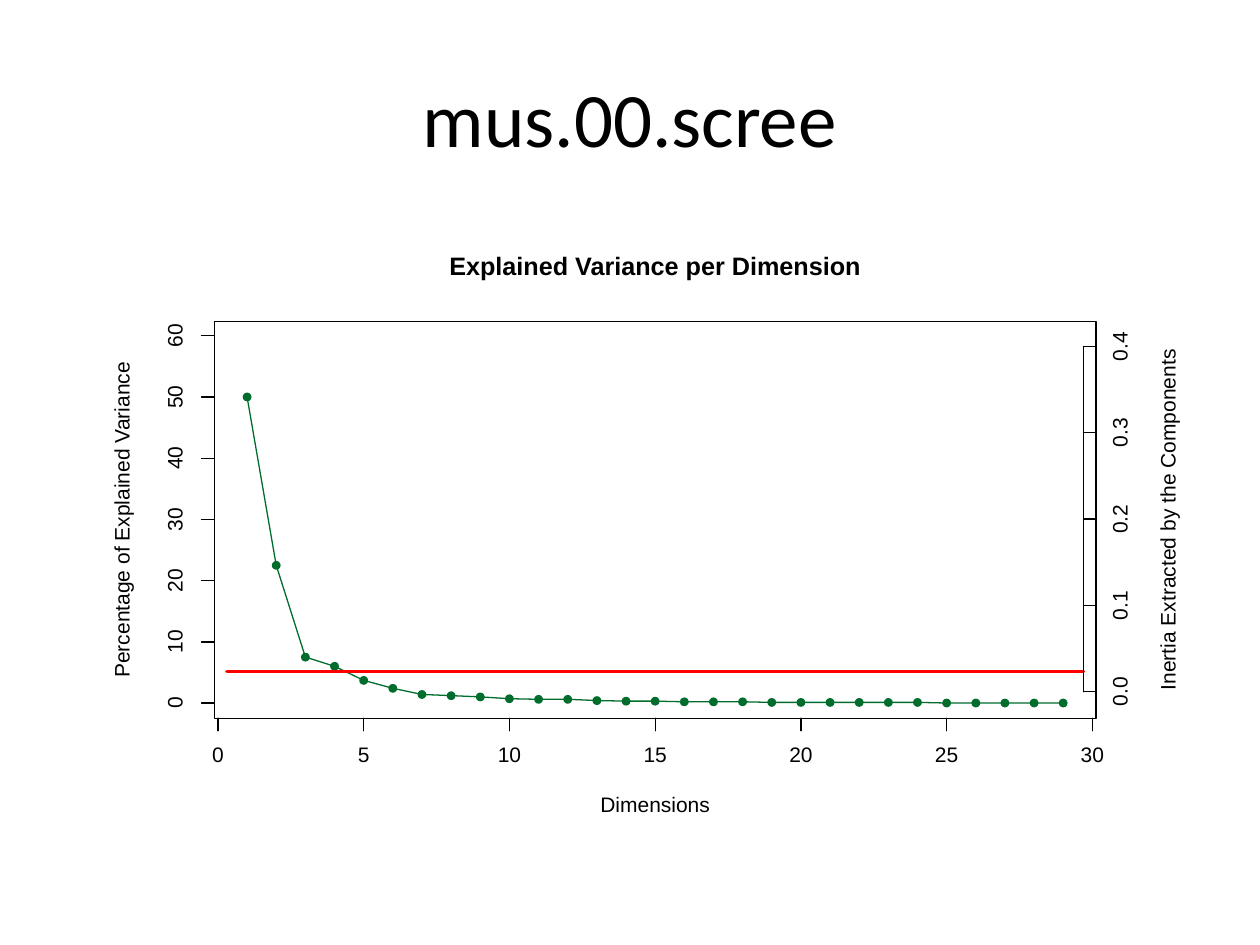
from dataclasses import dataclass

from pptx import Presentation
from pptx.dml.color import RGBColor
from pptx.enum import shapes, text
from pptx.oxml import xmlchemy
from pptx.util import Inches, Pt


@dataclass(frozen=True)
class Theme:
    ink: RGBColor = RGBColor(0x00, 0x00, 0x00)
    paper: RGBColor = RGBColor(0xFF, 0xFF, 0xFF)
    series: RGBColor = RGBColor(0x00, 0x6D, 0x2C)
    threshold: RGBColor = RGBColor(0xFF, 0x00, 0x00)
    title_font: str = "Calibri"
    plot_font: str = "Arial"
    title_size: float = 44
    heading_size: float = 14.4
    label_size: float = 12
    thin: float = 0.75
    thick: float = 1.87


theme = Theme()

LEFT, TOP, RIGHT, BOTTOM = 1.7, 2.55, 8.7, 5.7
MIDDLE_X, MIDDLE_Y = (LEFT + RIGHT) / 2, (TOP + BOTTOM) / 2
TICK = 0.1
DOT = 0.07
DIGIT = 0.11
ORIGIN_X, DIMENSION_STEP = 1.73, 6.94 / 30
ORIGIN_Y, PERCENT_STEP = 5.58, 2.915 / 60
INERTIA_X, INERTIA_Y, INERTIA_STEP = 8.6, 5.49, 6.85
THRESHOLD_Y = 5.33
variances = [50, 22.5, 7.5, 6, 3.7, 2.4, 1.4, 1.2, 1, 0.7, 0.6, 0.6, 0.4, 0.3, 0.3,
             0.2, 0.2, 0.2, 0.1, 0.1, 0.1, 0.1, 0.1, 0.1, 0, 0, 0, 0, 0]

presentation = Presentation()
presentation.slide_width, presentation.slide_height = Inches(10), Inches(7.5)
slide = presentation.slides.add_slide(presentation.slide_layouts[5])

title = slide.shapes.title
title.left, title.top, title.width, title.height = map(Inches, (0.5, 0.3, 9, 1.25))
title.text_frame.text = "mus.00.scree"
title.text_frame.vertical_anchor = text.MSO_ANCHOR.MIDDLE
paragraph = title.text_frame.paragraphs[0]
paragraph.alignment = text.PP_ALIGN.CENTER
paragraph.font.name = theme.title_font
paragraph.font.size = Pt(theme.title_size)
paragraph.font.color.rgb = theme.ink

plot = slide.shapes.add_group_shape().shapes


def draw_line(start_x, start_y, end_x, end_y, color=theme.ink, weight=theme.thin):
    line = plot.add_connector(shapes.MSO_CONNECTOR.STRAIGHT,
                              *map(Inches, (start_x, start_y, end_x, end_y)))
    line.line.color.rgb = color
    line.line.width = Pt(weight)
    line.line._get_or_add_ln().set("cap", "rnd")
    line._element.spPr.append(xmlchemy.OxmlElement("a:effectLst"))


def write_label(wording, center_x, center_y, width, height=0.12, rotation=0,
                size=theme.label_size, bold=False):
    label = plot.add_textbox(Inches(center_x - width / 2), Inches(center_y - height / 2),
                             Inches(width), Inches(height))
    label.rotation = rotation
    frame = label.text_frame
    frame.margin_left = frame.margin_right = frame.margin_top = frame.margin_bottom = 0
    frame.word_wrap = False
    frame.vertical_anchor = text.MSO_ANCHOR.MIDDLE
    frame.text = wording
    paragraph = frame.paragraphs[0]
    paragraph.alignment = text.PP_ALIGN.CENTER
    paragraph.line_spacing = Pt(size)
    paragraph.font.name = theme.plot_font
    paragraph.font.size = Pt(size)
    paragraph.font.bold = bold
    paragraph.font.color.rgb = theme.ink


background = plot.add_shape(shapes.MSO_SHAPE.RECTANGLE, *map(Inches, (0.5, 1.75, 9, 4.95)))
background.shadow.inherit = False
background.fill.solid()
background.fill.fore_color.rgb = theme.paper
background.line.color.rgb = theme.paper
background.line.width = Pt(theme.thin)

points = [(Inches(ORIGIN_X + dimension * DIMENSION_STEP),
           Inches(ORIGIN_Y - variance * PERCENT_STEP))
          for dimension, variance in enumerate(variances, start=1)]
builder = plot.build_freeform(*points[0])
builder.add_line_segments(points[1:], close=False)
curve = builder.convert_to_shape()
curve.shadow.inherit = False
curve.fill.background()
curve.line.color.rgb = theme.series
curve.line.width = Pt(theme.thin)

draw_line(ORIGIN_X, BOTTOM, ORIGIN_X + 30 * DIMENSION_STEP, BOTTOM)
for dimension in range(0, 31, 5):
    x = ORIGIN_X + dimension * DIMENSION_STEP
    draw_line(x, BOTTOM, x, BOTTOM + TICK)
    write_label(str(dimension), x, 6, DIGIT * len(str(dimension)))

draw_line(LEFT, ORIGIN_Y, LEFT, ORIGIN_Y - 60 * PERCENT_STEP)
for percent in range(0, 61, 10):
    y = ORIGIN_Y - percent * PERCENT_STEP
    draw_line(LEFT, y, LEFT - TICK, y)
    write_label(str(percent), 1.4, y, DIGIT * len(str(percent)), rotation=270)

frame_box = plot.add_shape(shapes.MSO_SHAPE.RECTANGLE,
                           *map(Inches, (LEFT, TOP, RIGHT - LEFT, BOTTOM - TOP)))
frame_box.shadow.inherit = False
frame_box.fill.background()
frame_box.line.color.rgb = theme.ink
frame_box.line.width = Pt(theme.thin)

write_label("Explained Variance per Dimension", MIDDLE_X, 2.13, 3.3, 0.18,
            size=theme.heading_size, bold=True)
write_label("Dimensions", MIDDLE_X, 6.4, 0.92)
write_label("Percentage of Explained Variance", 0.98, MIDDLE_Y, 2.55, 0.16, rotation=270)

for x, y in points:
    dot = plot.add_shape(shapes.MSO_SHAPE.OVAL, x - Inches(DOT / 2), y - Inches(DOT / 2),
                         Inches(DOT), Inches(DOT))
    dot.shadow.inherit = False
    dot.fill.solid()
    dot.fill.fore_color.rgb = theme.series
    dot.line.fill.background()

draw_line(LEFT + TICK, THRESHOLD_Y, INERTIA_X, THRESHOLD_Y, theme.threshold, theme.thick)

write_label("Inertia Extracted by the Components", 9.28, MIDDLE_Y, 2.73, 0.16, rotation=270)
draw_line(INERTIA_X, INERTIA_Y, INERTIA_X, INERTIA_Y - 0.4 * INERTIA_STEP)
for tenths in range(5):
    inertia = tenths / 10
    y = INERTIA_Y - inertia * INERTIA_STEP
    draw_line(INERTIA_X, y, RIGHT, y)
    write_label(f"{inertia:.1f}", 8.9, y, 0.27, rotation=270)

presentation.save("out.pptx")
